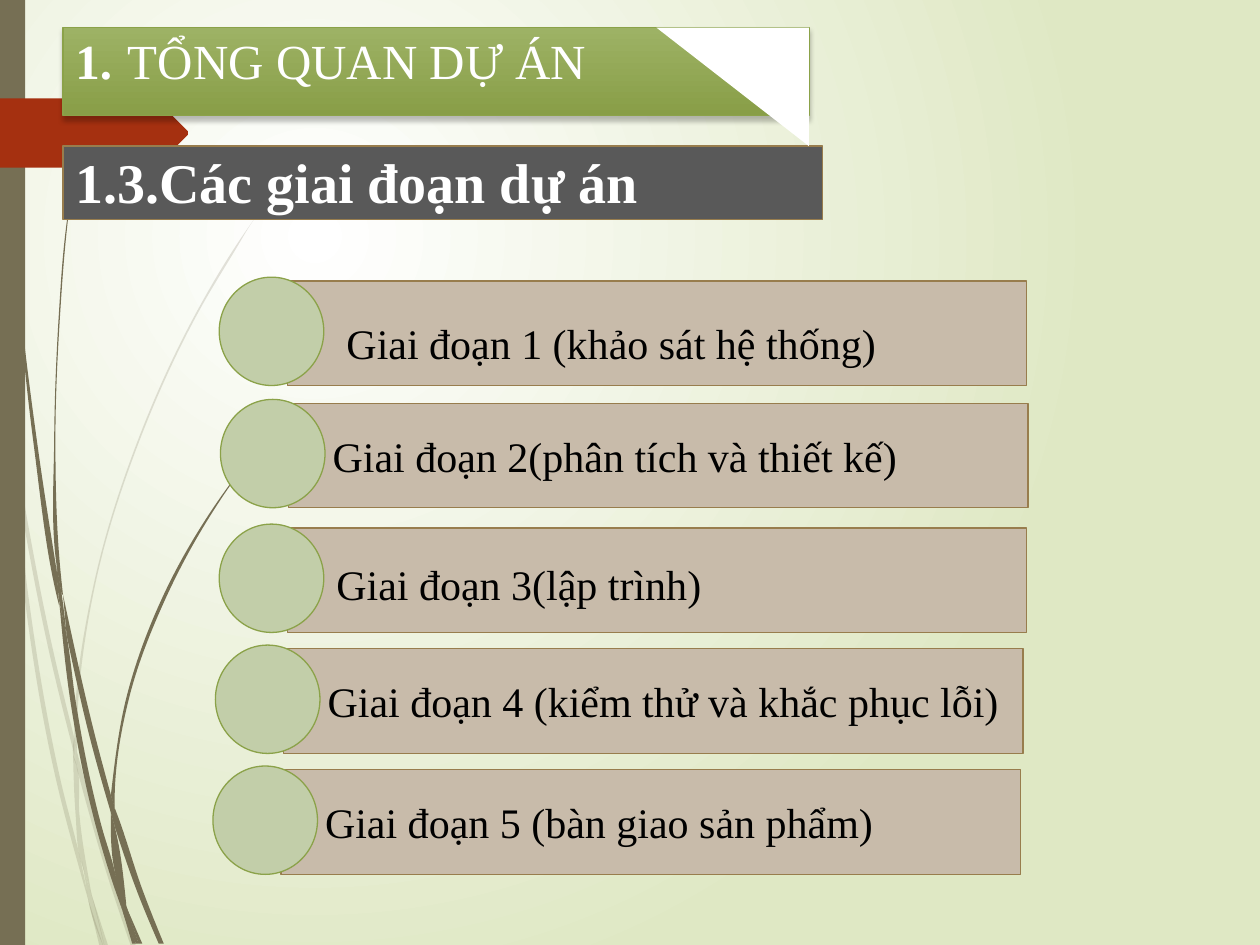
from pptx import Presentation
from pptx.dml.color import RGBColor as RGB
from pptx.enum.shapes import MSO_SHAPE as Kind
from pptx.enum.text import MSO_ANCHOR as Anchor, PP_ALIGN as Align
from pptx.oxml import parse_xml as to_xml
from pptx.oxml.ns import nsdecls, qn
from pptx.util import Inches, Pt

FONT = "Times New Roman"
WHITE = RGB(0xFF, 0xFF, 0xFF)
BLACK = RGB(0, 0, 0)
PALE = RGB(0xDF, 0xE8, 0xC4)
OLIVE = RGB(0x76, 0x6F, 0x54)
RED = RGB(0xA5, 0x30, 0x10)
LEAF = RGB(0x9D, 0xB2, 0x65)
MOSS = RGB(0x88, 0x9E, 0x47)
GREEN = RGB(0x8B, 0xA2, 0x49)
SAGE = RGB(0xC2, 0xCE, 0xA9)
GRAY = RGB(0x59, 0x59, 0x59)
TAN = RGB(0xC8, 0xBB, 0xAA)
BROWN = RGB(0x98, 0x7D, 0x4D)

FAINT = [
    ([(.08, 3.5), (.06, 3.22), (0, 2.82)], [(0, 2.99), (.07, 3.44), (.08, 3.5)]),
    ([(.1, 3.45), (.43, 5.2), (.59, 5.86)], [(.59, 5.99), (.4, 5.22), (.12, 3.76)]),
    ([(.61, 5.96), (.64, 6.07), (.88, 6.92), (1.08, 7.51)],
     [(1.04, 7.51), (.85, 6.94), (.61, 6.1)]),
    ([(.73, 7.11), (.86, 7.51)], [(.83, 7.51), (.73, 7.11)]),
    ([(.08, 3.5), (.12, 3.76), (.22, 4.69), (.48, 6.19), (.64, 6.83), (.69, 7.07)],
     [(.7, 7.14), (.64, 6.93), (.45, 6.21), (.19, 4.7), (.08, 3.5)]),
    ([(.58, 5.99), (.61, 6.08), (.63, 6.46), (.72, 7.06)],
     [(.73, 7.11), (.67, 6.92), (.64, 6.83), (.6, 6.46), (.58, 5.99)]),
    ([(2.17, 1.53), (2.01, 1.75), (1.86, 1.97), (1.58, 2.44), (1.1, 3.48),
      (.75, 4.61), (.59, 5.84), (.59, 5.86)],
     [(.61, 5.96), (.61, 5.84), (.76, 4.62), (1.11, 3.49), (1.59, 2.45),
      (1.87, 1.98), (2.01, 1.75), (2.17, 1.54)]),
    ([(.7, 7.14), (.82, 7.51)], [(.79, 7.51), (.7, 7.14)]),
    ([(.59, 5.86), (.61, 5.96), (.61, 6.1)], [(.61, 6.08), (.58, 5.99), (.59, 5.86)]),
    ([(.65, 6.83), (.67, 6.92), (.73, 7.11), (.83, 7.51)],
     [(.82, 7.51), (.7, 7.14), (.69, 7.07), (.65, 6.83)]),
]
DARK = [
    ([(.03, 0), (.04, .48), (.06, 1.09), (.15, 2.32), (.3, 3.55), (.45, 4.53)],
     [(.47, 4.81), (.46, 4.77), (.27, 3.55), (.14, 2.33), (.05, 1.1), (.03, .48), (.02, 0)]),
    ([(.5, 4.72), (.77, 5.9), (.88, 6.31)], [(.88, 6.45), (.73, 5.92), (.53, 5.05)]),
    ([(.91, 6.41), (.94, 6.49), (1.13, 7.06), (1.3, 7.49)],
     [(1.26, 7.49), (1.09, 7.08), (.91, 6.56)]),
    ([(.47, 4.77), (.53, 5.05), (.6, 5.56), (.81, 6.57), (.91, 6.91), (.96, 7.17)],
     [(.97, 7.22), (.92, 7.08), (.77, 6.59), (.56, 5.57), (.47, 4.77)]),
    ([(.58, 1.41), (.51, 1.93), (.47, 2.45), (.43, 3.49), (.45, 4.49), (.49, 4.72)],
     [(.5, 4.72), (.48, 4.53), (.44, 3.49), (.48, 2.45), (.52, 1.93), (.58, 1.41)]),
    ([(1, 7.19), (1.13, 7.49)], [(1.1, 7.49), (1, 7.19)]),
    ([(.45, 4.49), (.49, 4.72), (.53, 5.05)], [(.47, 4.77), (.45, 4.53), (.45, 4.49)]),
    ([(2.15, 3.44), (2.03, 3.58), (1.91, 3.73), (1.68, 4.05), (1.29, 4.74),
      (1.01, 5.51), (.88, 6.31)],
     [(.91, 6.41), (.91, 6.33), (1.03, 5.52), (1.31, 4.76), (1.69, 4.06),
      (1.91, 3.74), (2.03, 3.59), (2.16, 3.44)]),
    ([(.97, 7.22), (1.08, 7.49)], [(1.05, 7.49), (.97, 7.22)]),
    ([(.88, 6.45), (.91, 6.56), (1, 7.16)], [(1, 7.19), (.91, 6.91), (.88, 6.45)]),
    ([(.88, 6.31), (.91, 6.41), (.91, 6.56)], [(.88, 6.45), (.88, 6.31)]),
    ([(.91, 6.91), (.96, 7.06), (1.1, 7.49)], [(1.08, 7.49), (.97, 7.22), (.91, 6.91)]),
]
ARROW = [(0, 0), (1.21, 0), (1.24, .01), (1.49, .26),
         (1.49, .29), (1.24, .54), (1.21, .55), (0, .55)]
STAGES = [
    (2.28, 2.23, .47, .2, "Giai đoạn 1 (khảo sát hệ thống)"),
    (2.29, 3.2, .35, .05, "Giai đoạn 2(phân tích và thiết kế)"),
    (2.28, 4.19, .39, .1, "Giai đoạn 3(lập trình)"),
    (2.25, 5.15, .35, .05, "Giai đoạn 4 (kiểm thử và khắc phục lỗi)"),
    (2.23, 6.11, .35, .05, "Giai đoạn 5 (bàn giao sản phẩm)"),
]


def paint(shape, fill, line=None):
    """Set the fill and outline of a shape and drop its shadow."""
    shape.shadow.inherit = False
    shape.fill.solid()
    shape.fill.fore_color.rgb = fill
    if line is None:
        shape.line.fill.background()
    else:
        shape.line.color.rgb = line
        shape.line.width = Pt(.75)
    return shape


def block(slide, kind, x, y, w, h, fill, line=None):
    """Add a painted preset shape."""
    box = [Inches(v) for v in (x, y, w, h)]
    return paint(slide.shapes.add_shape(kind, *box), fill, line)


def outline(slide, x, y, points, fill):
    """Add a closed outline whose points are relative to x, y."""
    spots = [(Inches(x + a), Inches(y + b)) for a, b in points]
    pen = slide.shapes.build_freeform(*spots[0])
    pen.add_line_segments(spots[1:])
    return paint(pen.convert_to_shape(), fill)


def bend(nodes):
    """Turn the straight steps between outline nodes into one smooth curve."""
    dots = [complex(int(n[0].get("x")), int(n[0].get("y"))) for n in nodes]
    gaps = [b - a for a, b in zip(dots, dots[1:])]
    lens = [abs(g) for g in gaps]
    ways = [(g * m / k + h * k / m) / (k + m)
            for g, h, k, m in zip(gaps, gaps[1:], lens, lens[1:])]
    if not ways:
        return
    ways = [1.5 * gaps[0] / lens[0] - ways[0] / 2, *ways,
            1.5 * gaps[-1] / lens[-1] - ways[-1] / 2]
    for i, size in enumerate(lens):
        stops = (dots[i] + ways[i] * size / 3,
                 dots[i + 1] - ways[i + 1] * size / 3, dots[i + 1])
        marks = "".join(f'<a:pt x="{round(s.real)}" y="{round(s.imag)}"/>' for s in stops)
        old = nodes[i + 1]
        old.getparent().replace(old, to_xml(
            f'<a:cubicBezTo {nsdecls("a")}>{marks}</a:cubicBezTo>'))


def grass(slide, x, y, blades, alpha=None):
    """Draw the curved blades, each between two edges."""
    for near, far in blades:
        blade = outline(slide, x, y, near + far, OLIVE)
        form = blade.element.spPr
        nodes = list(form.iter(qn("a:moveTo"), qn("a:lnTo")))
        bend(nodes[:len(near)])
        bend(nodes[len(near):])
        if alpha:
            tint = form.find(".//" + qn("a:srgbClr"))
            tint.append(to_xml(f'<a:alpha {nsdecls("a")} val="{alpha * 1000}"/>'))


def shade(fill, first, last):
    """Give a fill a gradient of two colours."""
    fill.gradient()
    for stop, tone in zip(fill.gradient_stops, (first, last)):
        stop.color.rgb = tone


def backdrop(slide):
    """Fill the background and draw the left-hand decoration."""
    shade(slide.background.fill, WHITE, PALE)
    grad = slide.element.find(".//" + qn("a:gradFill"))
    grad.replace(grad.find(qn("a:lin")), to_xml(
        f'<a:path {nsdecls("a")} path="circle"><a:fillToRect l="50000" '
        't="50000" r="100000" b="100000"/></a:path>'))
    grass(slide, 0, 0, FAINT, 20)
    grass(slide, 0, 0, DARK)
    block(slide, Kind.RECTANGLE, 0, 0, .2, 7.5, OLIVE)
    outline(slide, 0, .78, ARROW, RED)


def write(shape, runs, color, left=.1, top=.05, anchor=Anchor.MIDDLE):
    """Write one left-aligned line of (text, size, bold) runs."""
    frame = shape.text_frame
    frame.word_wrap = True
    frame.vertical_anchor = anchor
    frame.margin_left, frame.margin_top = Inches(left), Inches(top)
    para = frame.paragraphs[0]
    para.alignment = Align.LEFT
    for text, size, bold in runs:
        run = para.add_run()
        run.text = text
        font = run.font
        font.name, font.size, font.bold = FONT, Pt(size), bold
        font.color.rgb = color
    return para


def header(slide, x, y):
    """Draw the title bar, its folded corner and the subtitle."""
    bar = block(slide, Kind.RECTANGLE, x, y, 5.92, .7, LEAF, GREEN)
    shade(bar.fill, LEAF, MOSS)
    bar.fill.gradient_angle = 270
    bar.element.spPr.find(qn("a:effectLst")).append(to_xml(
        f'<a:outerShdw {nsdecls("a")} blurRad="{Pt(3)}" dist="{Pt(2)}" '
        'dir="5400000" rotWithShape="0"><a:srgbClr val="000000">'
        '<a:alpha val="25000"/></a:srgbClr></a:outerShdw>'))
    runs = [("1.", 28, True), (" ", 36, False), ("TỔNG QUAN DỰ ÁN", 28, False)]
    write(bar, runs, WHITE, top=.03, anchor=Anchor.TOP).line_spacing = .8
    sub = block(slide, Kind.RECTANGLE, x, y + .94, 6.03, .58, GRAY, BROWN)
    write(sub, [("1.3.Các giai đoạn dự án", 32, True)], WHITE, top=.02)
    fold = block(slide, Kind.RIGHT_TRIANGLE, x + 4.71, y, 1.21, .94, WHITE)
    fold.rotation = 180


def stage(slide, x, y, left, top, text):
    """Draw one stage bar with its round marker."""
    bar = block(slide, Kind.RECTANGLE, x, y, 5.87, .83, TAN, BROWN)
    write(bar, [(text, 24, False)], BLACK, left, top)
    block(slide, Kind.FLOWCHART_CONNECTOR, x - .54, y - .03, .83, .86, SAGE, GREEN)


def main():
    """Build and save the slide."""
    deck = Presentation()
    deck.slide_width, deck.slide_height = Inches(10), Inches(7.5)
    slide = deck.slides.add_slide(deck.slide_layouts[6])
    backdrop(slide)
    header(slide, .5, .22)
    for row in STAGES:
        stage(slide, *row)
    deck.save("out.pptx")


if __name__ == "__main__":
    main()
